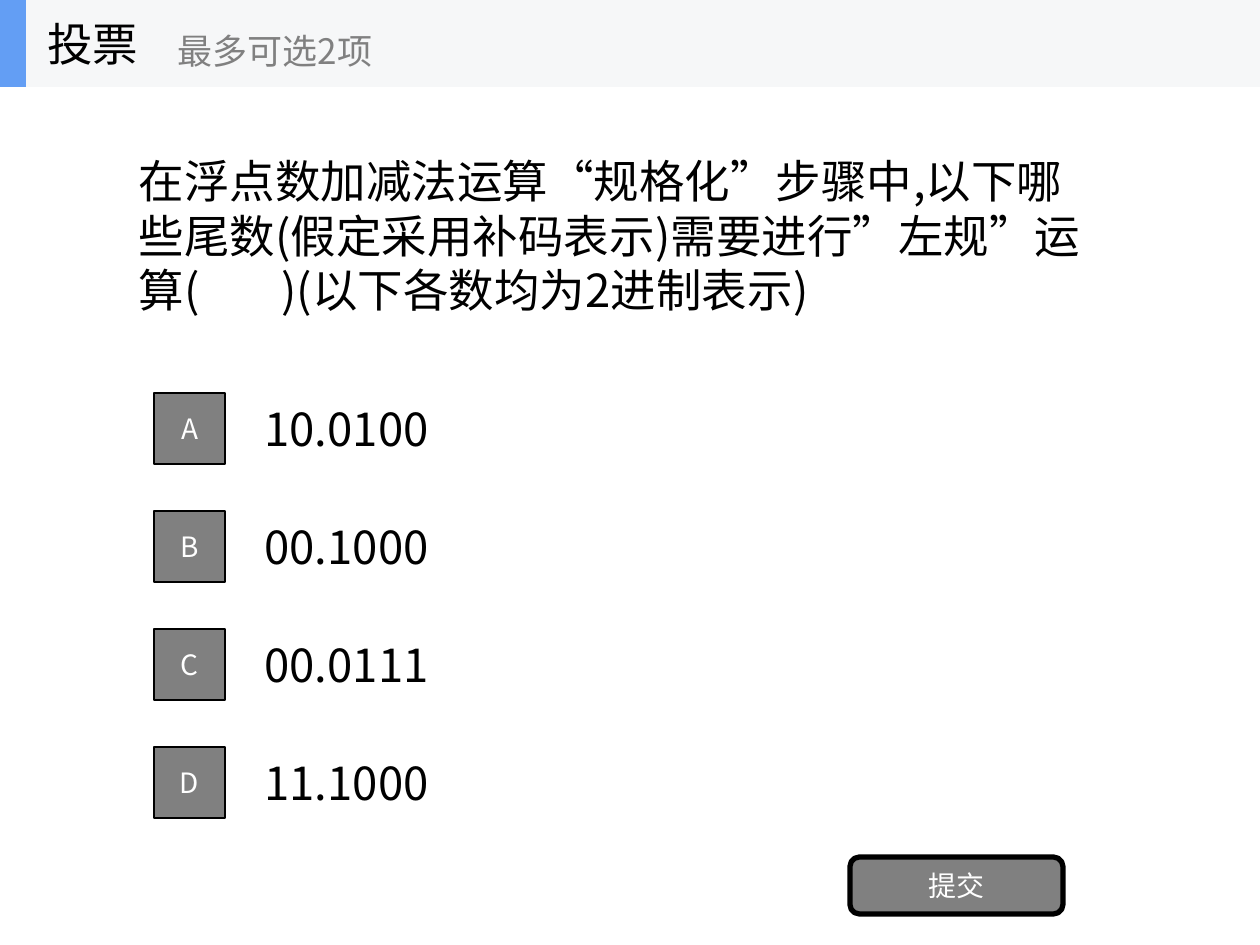
from lxml import etree
from pptx import Presentation
from pptx.dml.color import RGBColor
from pptx.enum.shapes import MSO_SHAPE
from pptx.enum.text import MSO_ANCHOR, MSO_AUTO_SIZE, PP_ALIGN
from pptx.oxml.ns import qn
from pptx.util import Pt

RECT, ROUNDED = MSO_SHAPE.RECTANGLE, MSO_SHAPE.ROUNDED_RECTANGLE
MIDDLE = MSO_ANCHOR.MIDDLE
LEFT, CENTER = PP_ALIGN.LEFT, PP_ALIGN.CENTER
FIT = MSO_AUTO_SIZE.SHAPE_TO_FIT_TEXT

BLACK = RGBColor(0, 0, 0)
WHITE = RGBColor(255, 255, 255)
GRAY = RGBColor(128, 128, 128)
PALE = RGBColor(0xF6, 0xF7, 0xF8)
BLUE = RGBColor(0x63, 0x9E, 0xF4)

FONT = "Noto Sans CJK SC"
EMU_PER_INCH, PX_PER_INCH = 914400, 126
OPTION_TOP, OPTION_STEP = 393, 118

QUESTION = "在浮点数加减法运算“规格化”步骤中,以下哪些尾数(假定采用补码表示)需要进行”左规”运算(        )(以下各数均为2进制表示)"
OPTIONS = [("A", "10.0100"), ("B", "00.1000"), ("C", "00.0111"), ("D", "11.1000")]


def px(*lengths):
    return [round(n * EMU_PER_INCH / PX_PER_INCH) for n in lengths]


def write(sp, text, size, color, align=LEFT):
    tf = sp.text_frame
    tf.text = text
    tf.word_wrap = True
    tf.vertical_anchor = MIDDLE
    p = tf.paragraphs[0]
    p.alignment = align
    r = p.runs[0]
    r.font.name = FONT
    r.font.size = Pt(size)
    r.font.color.rgb = color
    etree.SubElement(r.font._element, qn("a:ea"), typeface=FONT)


def add_label(shapes, box, text, size, color):
    sp = shapes.add_textbox(*px(*box))
    write(sp, text, size, color)
    return sp


def add_block(shapes, kind, box, fill):
    sp = shapes.add_shape(kind, *px(*box))
    sp.shadow.inherit = False
    sp.fill.solid()
    sp.fill.fore_color.rgb = fill
    sp.line.fill.background()
    return sp


def add_button(shapes, kind, box, text, border):
    sp = add_block(shapes, kind, box, GRAY)
    sp.line.color.rgb = BLACK
    sp.line.width = Pt(border)
    write(sp, text, 16, WHITE, CENTER)


def add_question(s):
    sp = s.shapes.title
    sp.left, sp.top, sp.width, sp.height = px(126, 147, 992, 176)
    write(sp, QUESTION, 26, BLACK)
    sp.text_frame.auto_size = FIT


def add_option(shapes, top, letter, value):
    sp = add_label(shapes, (252, top + 1, 209, 68), value, 26, BLACK)
    sp.text_frame.auto_size = FIT
    add_button(shapes, RECT, (154, top, 71, 71), letter, 1)


def add_header(s):
    shapes = s.shapes.add_group_shape().shapes
    add_block(shapes, RECT, (0, 0, 1260, 87), PALE)
    add_block(shapes, RECT, (0, 0, 26, 87), BLUE)
    add_label(shapes, (35, 0, 262, 87), "投票", 26, BLACK)
    add_label(shapes, (165, 15, 315, 71), "最多可选2项", 20, GRAY)


def main():
    prs = Presentation()
    prs.slide_width, prs.slide_height = px(1260, 945)
    s = prs.slides.add_slide(prs.slide_layouts[5])
    add_question(s)
    for i, (letter, value) in enumerate(OPTIONS):
        add_option(s.shapes, OPTION_TOP + i * OPTION_STEP, letter, value)
    add_button(s.shapes, ROUNDED, (850, 857, 213, 57), "提交", 3)
    add_header(s)
    prs.save("out.pptx")


if __name__ == "__main__":
    main()
